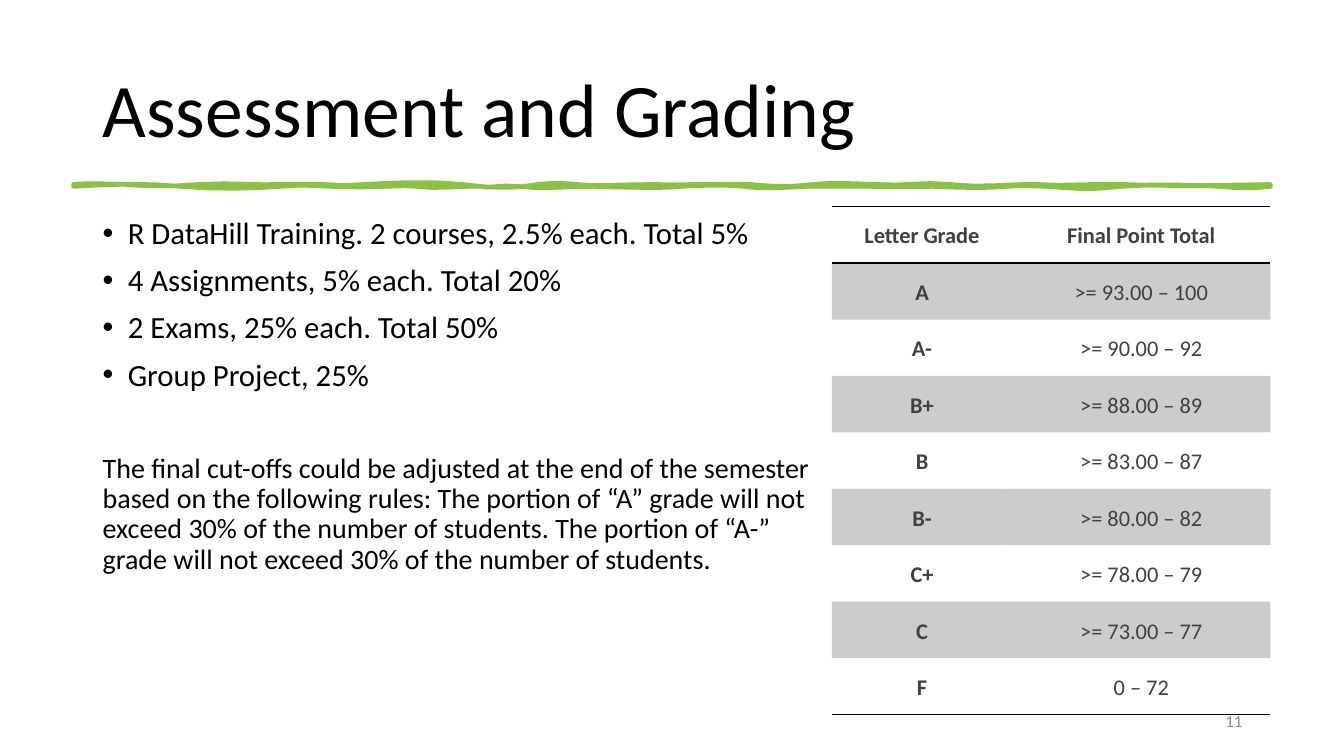
from dataclasses import dataclass
from typing import NamedTuple

from lxml.etree import SubElement
from pptx import Presentation
from pptx.dml.color import RGBColor
from pptx.enum.text import MSO_ANCHOR as Anchor, PP_ALIGN as Align
from pptx.oxml.ns import qn
from pptx.util import Inches, Pt

FONT = "Calibri"
COLORS = {"text": "000000", "table_text": "404040", "number": "8C8C8C",
          "stroke": "8BC145", "band": "000000", "border": "000000"}
NO_TABLE_STYLE = "{2D5ABB26-0587-4C30-8999-92F81FD0307C}"


@dataclass
class Line:
    text: str
    size: float
    color: str = "text"
    bold: bool = False
    align: Align = Align.LEFT
    spacing: float = 0.9
    before: float = 0
    after: float = 0
    bullet: bool = False


@dataclass
class TextBlock:
    bounds: tuple[float, float, float, float]
    lines: list[Line]
    anchor: Anchor = Anchor.TOP


class Curve(NamedTuple):
    first_x: float
    first_y: float
    second_x: float
    second_y: float
    end_x: float


BULLETS = [
    "R DataHill Training. 2 courses, 2.5% each. Total 5%",
    "4 Assignments, 5% each. Total 20%",
    "2 Exams, 25% each. Total 50%",
    "Group Project, 25%",
]
CUTOFF_NOTE = (
    "The final cut-offs could be adjusted at the end of the semester based on "
    "the following rules: The portion of “A” grade will not exceed 30% of the "
    "number of students. The portion of “A-” grade will not exceed 30% of the "
    "number of students."
)
TEXT_BLOCKS = [
    TextBlock((0.92, 0.4, 11.5, 1.45), [Line("Assessment and Grading", 54)], Anchor.MIDDLE),
    TextBlock((0.92, 2.11, 7.24, 4.65), [
        *(Line(text, 22, before=10, bullet=True) for text in BULLETS),
        Line(CUTOFF_NOTE, 20, before=44),
    ]),
    TextBlock((9.42, 6.95, 3, 0.4), [
        Line("11", 12, "number", align=Align.RIGHT, spacing=1, after=6),
    ], Anchor.MIDDLE),
]
GRADES = [
    ("Letter Grade", "Final Point Total"),
    ("A", ">= 93.00 – 100"),
    ("A-", ">= 90.00 – 92"),
    ("B+", ">= 88.00 – 89"),
    ("B", ">= 83.00 – 87"),
    ("B-", ">= 80.00 – 82"),
    ("C+", ">= 78.00 – 79"),
    ("C", ">= 73.00 – 77"),
    ("F", "0 – 72"),
]
STROKE_LEFT, STROKE_RIGHT = 0.73, 12.6
STROKE_TOP, STROKE_BOTTOM = 1.83, 1.85
TOP_CURVES = [
    Curve(0.89, 1.81, 1.11, 1.83, 1.24), Curve(1.36, 1.84, 1.62, 1.86, 1.98),
    Curve(2.34, 1.81, 2.51, 1.84, 2.84), Curve(3.17, 1.83, 3.07, 1.83, 3.22),
    Curve(3.38, 1.84, 3.42, 1.84, 3.61), Curve(3.8, 1.82, 4.24, 1.79, 4.59),
    Curve(4.94, 1.88, 5.17, 1.86, 5.33), Curve(5.49, 1.81, 5.63, 1.82, 5.72),
    Curve(5.81, 1.85, 6.25, 1.83, 6.46), Curve(6.67, 1.84, 7.23, 1.82, 7.44),
    Curve(7.65, 1.85, 7.82, 1.86, 8.06), Curve(8.3, 1.81, 8.38, 1.82, 8.68),
    Curve(8.99, 1.85, 9.14, 1.8, 9.43), Curve(9.72, 1.87, 10.02, 1.82, 10.29),
    Curve(10.55, 1.85, 10.78, 1.82, 11.15), Curve(11.51, 1.85, 11.99, 1.84, STROKE_RIGHT),
]
BOTTOM_CURVES = [
    Curve(12.42, 1.87, 12.3, 1.87, 12.1), Curve(11.9, 1.84, 11.49, 1.82, 11.12),
    Curve(10.75, 1.89, 10.7, 1.87, 10.38), Curve(10.05, 1.84, 10.18, 1.84, 9.99),
    Curve(9.8, 1.87, 9.48, 1.86, 9.25), Curve(9.02, 1.85, 8.84, 1.86, 8.63),
    Curve(8.41, 1.85, 8.28, 1.85, 8), Curve(7.73, 1.86, 7.57, 1.88, 7.38),
    Curve(7.19, 1.83, 6.88, 1.84, 6.76), Curve(6.63, 1.87, 6.24, 1.86, 5.9),
    Curve(5.55, 1.85, 5.37, 1.88, 5.15), Curve(4.94, 1.83, 4.91, 1.87, 4.77),
    Curve(4.63, 1.84, 4.3, 1.88, 4.14), Curve(3.99, 1.83, 3.71, 1.87, 3.28),
    Curve(2.86, 1.83, 3.03, 1.84, 2.78), Curve(2.53, 1.87, 2.13, 1.88, 1.8),
    Curve(1.47, 1.82, 1.18, 1.82, STROKE_LEFT),
]


def color(name: str) -> RGBColor:
    return RGBColor.from_string(COLORS[name])


def write_line(paragraph, line: Line) -> None:
    paragraph.text = line.text
    paragraph.alignment = line.align
    paragraph.line_spacing = line.spacing
    paragraph.space_before, paragraph.space_after = Pt(line.before), Pt(line.after)
    font = paragraph.font
    font.name, font.size, font.bold = FONT, Pt(line.size), line.bold
    font.color.rgb = color(line.color)
    if line.bullet:
        properties = paragraph._p.get_or_add_pPr()
        properties.set("marL", str(Inches(0.25)))
        properties.set("indent", str(Inches(-0.25)))
        SubElement(properties, qn("a:buFont"), typeface="Arial")
        SubElement(properties, qn("a:buChar"), char="•")


def add_text(slide, block: TextBlock) -> None:
    frame = slide.shapes.add_textbox(*map(Inches, block.bounds)).text_frame
    frame.word_wrap = True
    frame.vertical_anchor = block.anchor
    for index, line in enumerate(block.lines):
        write_line(frame.add_paragraph() if index else frame.paragraphs[0], line)


def edge_points(start_x: float, y: float, curves: list[Curve]) -> list[tuple[int, int]]:
    points = [(Inches(start_x), Inches(y))]
    for curve in curves:
        xs = (start_x, curve.first_x, curve.second_x, curve.end_x)
        ys = (y, curve.first_y, curve.second_y, y)
        for t in (0.25, 0.5, 0.75, 1):
            weights = ((1 - t) ** 3, 3 * t * (1 - t) ** 2, 3 * t**2 * (1 - t), t**3)
            points.append(tuple(
                Inches(sum(weight * value for weight, value in zip(weights, values)))
                for values in (xs, ys)
            ))
        start_x = curve.end_x
    return points


def add_brush_stroke(slide) -> None:
    start, *rest = (edge_points(STROKE_LEFT, STROKE_TOP, TOP_CURVES)
                    + edge_points(STROKE_RIGHT, STROKE_BOTTOM, BOTTOM_CURVES))
    builder = slide.shapes.build_freeform(*start)
    builder.add_line_segments(rest, close=True)
    shape = builder.convert_to_shape()
    shape.shadow.inherit = False
    shape.fill.solid()
    shape.fill.fore_color.rgb = shape.line.color.rgb = color("stroke")
    shape.line.width = Pt(3.25)


def add_border(cell, side: str) -> None:
    border = SubElement(cell._tc.get_or_add_tcPr(), qn(f"a:{side}"), w=str(Pt(1)))
    fill = SubElement(border, qn("a:solidFill"))
    SubElement(fill, qn("a:srgbClr"), val=COLORS["border"])


def add_grade_table(slide) -> None:
    bounds = map(Inches, (8.25, 2.05, 4.35, 5.04))
    table = slide.shapes.add_table(len(GRADES), 2, *bounds).table
    table.first_row = table.horz_banding = False
    table._tbl.tblPr.find(qn("a:tableStyleId")).text = NO_TABLE_STYLE
    for column, width in zip(table.columns, (1.72, 2.63)):
        column.width = Inches(width)
    for row_index, texts in enumerate(GRADES):
        for column_index, text in enumerate(texts):
            cell = table.cell(row_index, column_index)
            cell.margin_left, cell.margin_right = Inches(0.27), Inches(0.2)
            cell.margin_top, cell.margin_bottom = Inches(0.14), Inches(0.13)
            bold = row_index == 0 or column_index == 0
            write_line(cell.text_frame.paragraphs[0],
                       Line(text, 16, "table_text", bold, Align.CENTER, 1.07))
            if row_index == 0:
                add_border(cell, "lnT")
            if row_index in (0, len(GRADES) - 1):
                add_border(cell, "lnB")
            if row_index % 2:
                cell.fill.solid()
                cell.fill.fore_color.rgb = color("band")
                band_color = cell._tc.tcPr.find(f".//{qn('a:srgbClr')}")
                SubElement(band_color, qn("a:alpha"), val="20000")
            else:
                cell.fill.background()


def main() -> None:
    presentation = Presentation()
    presentation.slide_width, presentation.slide_height = Inches(13.33), Inches(7.5)
    slide = presentation.slides.add_slide(presentation.slide_layouts[6])
    add_brush_stroke(slide)
    for block in TEXT_BLOCKS:
        add_text(slide, block)
    add_grade_table(slide)
    presentation.save("out.pptx")


if __name__ == "__main__":
    main()
